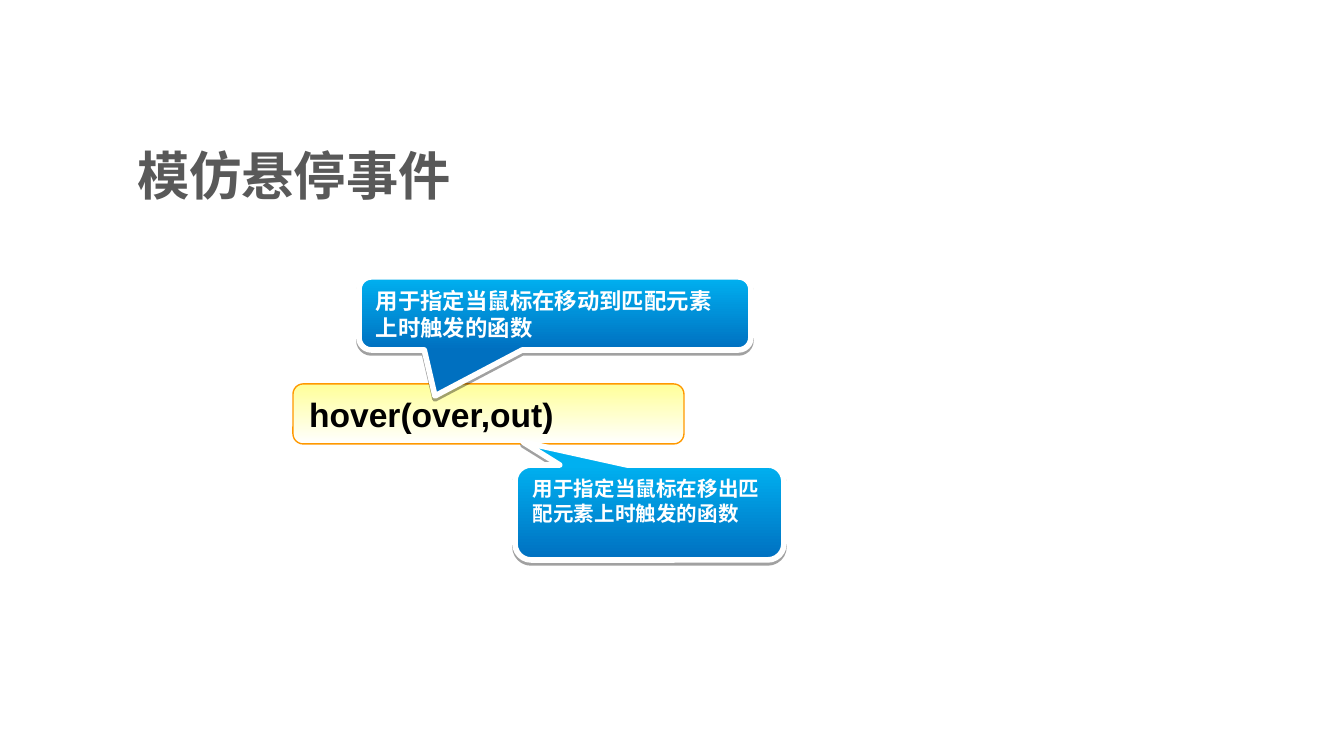
from dataclasses import dataclass

from lxml.etree import SubElement
from pptx import Presentation
from pptx.dml.color import RGBColor
from pptx.enum.shapes import MSO_SHAPE as Shape
from pptx.enum.text import MSO_ANCHOR as Anchor, MSO_AUTO_SIZE as AutoSize, PP_ALIGN as Align
from pptx.oxml.ns import qn
from pptx.util import Emu, Pt


@dataclass(frozen=True)
class Theme:
    latin: str = "Arial"
    chinese: str = "Noto Sans CJK SC"
    title_color: str = "595959"
    code_color: str = "000000"
    code_fill: tuple = ("FFFF99", "FFFFFF")
    code_line: str = "FF9900"
    note_color: str = "FFFFFF"
    note_fill: tuple = ("00B0F0", "0070C0")
    note_line: str = "FFFFFF"
    shadow: str = "000000"
    title_size: int = 28
    code_size: int = 18


THEME = Theme()
PX_PER_INCH = 134.4


def px(length):
    return Emu(round(length * 914400 / PX_PER_INCH))


def write(shape, text, size, color, latin, anchor):
    frame = shape.text_frame
    frame.text = text
    frame.word_wrap = True
    frame.auto_size = AutoSize.NONE
    frame.vertical_anchor = anchor
    para = frame.paragraphs[0]
    para.alignment = Align.LEFT
    font = para.runs[0].font
    font.name, font.size, font.bold = latin, Pt(size), True
    font.color.rgb = RGBColor.from_string(color)
    east_asian = SubElement(para.runs[0]._r.get_or_add_rPr(), qn("a:ea"))
    east_asian.set("typeface", THEME.chinese)


def add_panel(page, kind, box, adjustments, colors, line_color, line_width):
    """Add a shape filled from top to bottom with two colours."""
    panel = page.shapes.add_shape(kind, *map(px, box))
    for index, value in enumerate(adjustments):
        panel.adjustments[index] = value
    panel.fill.gradient()
    panel.fill.gradient_angle = 270
    for stop, color, position in zip(panel.fill.gradient_stops, colors, (0, 1)):
        stop.color.rgb = RGBColor.from_string(color)
        stop.position = position
    panel.line.color.rgb = RGBColor.from_string(line_color)
    panel.line.width = Pt(line_width)
    panel.shadow.inherit = False
    return panel


def drop_shadow(shape):
    effects = shape._element.spPr.find(qn("a:effectLst"))
    outer = SubElement(effects, qn("a:outerShdw"), blurRad="0", dist=str(Pt(1.6)),
                       dir="5400000", algn="t", rotWithShape="0")
    color = SubElement(outer, qn("a:srgbClr"), val=THEME.shadow)
    SubElement(color, qn("a:alpha"), val="37000")


def place_title(page, box, text):
    title = page.shapes.title
    title.left, title.top, title.width, title.height = map(px, box)
    write(title, text, THEME.title_size, THEME.title_color, THEME.chinese, Anchor.MIDDLE)


def add_code(page, box, text):
    panel = add_panel(page, Shape.ROUNDED_RECTANGLE, box, [0.17],
                      THEME.code_fill, THEME.code_line, 0.75)
    write(panel, text, THEME.code_size, THEME.code_color, THEME.latin, Anchor.MIDDLE)


def add_callout(page, box, tip, text, size):
    """Add a note whose pointer ends at tip, in px from the box's corner."""
    _, _, width, height = box
    pointer = [tip[0] / width - 0.5, tip[1] / height - 0.5]
    callout = add_panel(page, Shape.ROUNDED_RECTANGULAR_CALLOUT, box, pointer + [0.17],
                        THEME.note_fill, THEME.note_line, 3)
    drop_shadow(callout)
    write(callout, text, size, THEME.note_color, THEME.latin, Anchor.TOP)


def main():
    deck = Presentation()
    deck.slide_width, deck.slide_height = px(1344), px(756)
    page = deck.slides.add_slide(deck.slide_layouts[5])
    place_title(page, (124, 132, 964, 85), "模仿悬停事件")
    add_code(page, (293, 384, 391, 60), "hover(over,out)")
    add_callout(page, (359, 277, 392, 73), (76, 119),
                "用于指定当鼠标在移动到匹配元素上时触发的函数", 12)
    add_callout(page, (515, 465, 269, 95), (8, -23),
                "用于指定当鼠标在移出匹配元素上时触发的函数", 11)
    deck.save("out.pptx")


if __name__ == "__main__":
    main()
